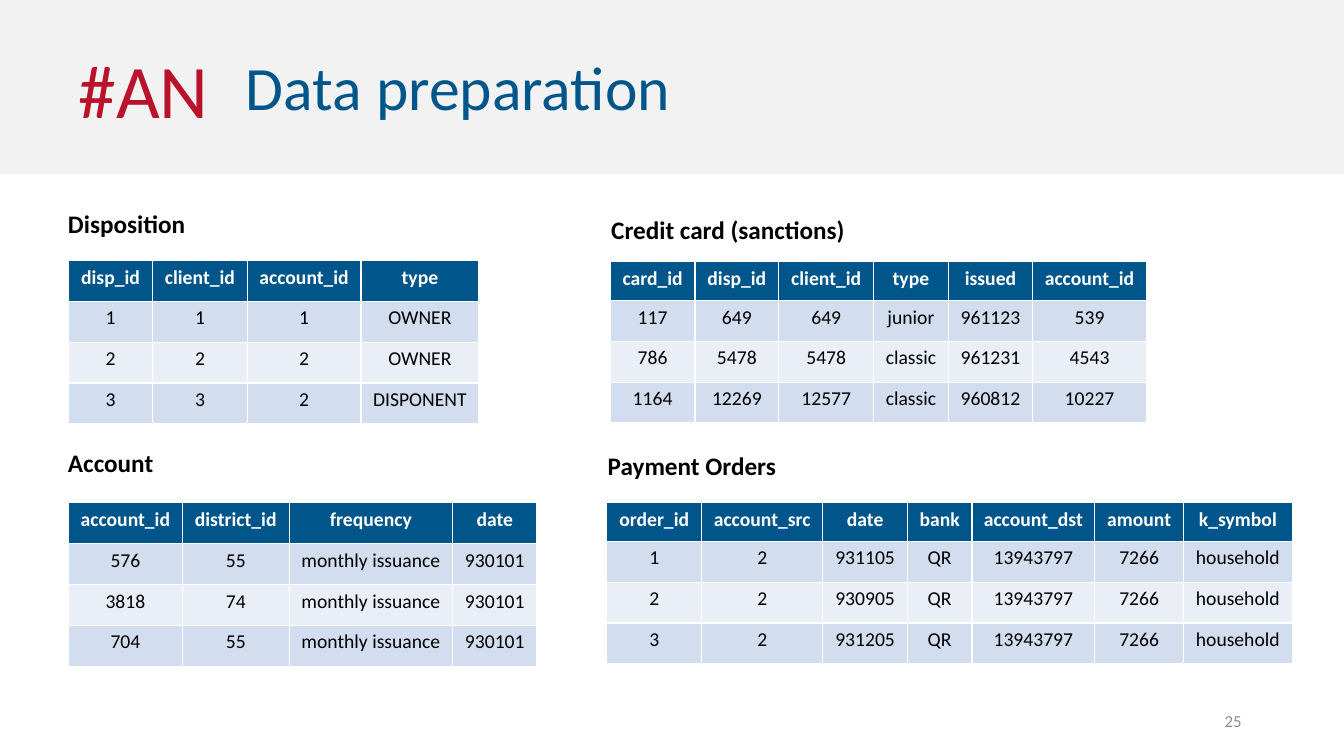
from dataclasses import dataclass

from pptx import Presentation
from pptx.dml.color import RGBColor
from pptx.enum.shapes import MSO_SHAPE
from pptx.enum.text import MSO_ANCHOR, MSO_AUTO_SIZE, PP_ALIGN
from pptx.util import Pt


@dataclass(frozen=True)
class Theme:
    """Colours, font and type sizes of the slide."""
    font: str = "Calibri"
    blue: str = "00568A"
    red: str = "B9122B"
    black: str = "000000"
    white: str = "FFFFFF"
    grey: str = "8C8C8C"
    band: str = "F2F2F2"
    odd_row: str = "D2DEEF"
    even_row: str = "EAEFF7"
    tag_size: int = 54
    title_size: int = 44
    heading_size: int = 18
    cell_size: int = 14
    number_size: int = 12


THEME = Theme()
ROW_HEIGHT = 29.2
LOW_HEADER = 27.6

DISPOSITION = [
    ("disp_id", "client_id", "account_id", "type"),
    ("1", "1", "1", "OWNER"),
    ("2", "2", "2", "OWNER"),
    ("3", "3", "2", "DISPONENT"),
]
ACCOUNT = [
    ("account_id", "district_id", "frequency", "date"),
    ("576", "55", "monthly issuance", "930101"),
    ("3818", "74", "monthly issuance", "930101"),
    ("704", "55", "monthly issuance", "930101"),
]
CREDIT_CARD = [
    ("card_id", "disp_id", "client_id", "type", "issued", "account_id"),
    ("117", "649", "649", "junior", "961123", "539"),
    ("786", "5478", "5478", "classic", "961231", "4543"),
    ("1164", "12269", "12577", "classic", "960812", "10227"),
]
PAYMENT_ORDERS = [
    ("order_id", "account_src", "date", "bank", "account_dst", "amount", "k_symbol"),
    ("1", "2", "931105", "QR", "13943797", "7266", "household"),
    ("2", "2", "930905", "QR", "13943797", "7266", "household"),
    ("3", "2", "931205", "QR", "13943797", "7266", "household"),
]


def write(tf, text, size, color, bold=False, align=PP_ALIGN.LEFT):
    """Fill a text frame with one formatted paragraph."""
    p = tf.paragraphs[0]
    p.text = text
    p.alignment = align
    p.font.name = THEME.font
    p.font.size = Pt(size)
    p.font.bold = bold
    p.font.color.rgb = RGBColor.from_string(color)


def add_text(s, box, text, size, color, **style):
    """Add a wrapping text box and return its text frame."""
    tf = s.shapes.add_textbox(*map(Pt, box)).text_frame
    tf.word_wrap = True
    write(tf, text, size, color, **style)
    return tf


def add_header(s):
    """Place the grey band, the red tag and the title."""
    title = s.shapes.title
    band = s.shapes.add_shape(MSO_SHAPE.RECTANGLE, 0, 0, Pt(960), Pt(124.5))
    band.shadow.inherit = False
    band.fill.solid()
    band.fill.fore_color.rgb = RGBColor.from_string(THEME.band)
    band.line.fill.background()
    title.element.addprevious(band.element)

    tag = add_text(s, (49, 27.4, 131.8, 72.7), "#AN", THEME.tag_size, THEME.red)
    tag.auto_size = MSO_AUTO_SIZE.SHAPE_TO_FIT_TEXT

    title.left, title.top, title.width, title.height = map(Pt, (168.5, 31.7, 321.1, 60.5))
    tf = title.text_frame
    tf.word_wrap = False
    tf.auto_size = MSO_AUTO_SIZE.SHAPE_TO_FIT_TEXT
    tf.vertical_anchor = MSO_ANCHOR.TOP
    write(tf, "Data preparation", THEME.title_size, THEME.blue)


def add_heading(s, left, top, width, text):
    """Add the bold heading above a table."""
    tf = add_text(s, (left, top, width, 29), text, THEME.heading_size, THEME.black, bold=True)
    tf.auto_size = MSO_AUTO_SIZE.SHAPE_TO_FIT_TEXT


def add_data_table(s, left, top, widths, rows, header_height=ROW_HEIGHT):
    """Add a table with a blue header and alternating rows."""
    heights = [header_height] + [ROW_HEIGHT] * (len(rows) - 1)
    table = s.shapes.add_table(len(rows), len(widths), Pt(left), Pt(top),
                               Pt(sum(widths)), Pt(sum(heights))).table
    for column, width in zip(table.columns, widths):
        column.width = Pt(width)
    for r, (values, height) in enumerate(zip(rows, heights)):
        table.rows[r].height = Pt(height)
        header = r == 0
        fill = THEME.blue if header else THEME.odd_row if r % 2 else THEME.even_row
        color = THEME.white if header else THEME.black
        for c, value in enumerate(values):
            cell = table.cell(r, c)
            cell.fill.solid()
            cell.fill.fore_color.rgb = RGBColor.from_string(fill)
            write(cell.text_frame, value, THEME.cell_size, color, header, PP_ALIGN.CENTER)


def main():
    """Build the slide and save it."""
    prs = Presentation()
    prs.slide_width, prs.slide_height = Pt(960), Pt(540)
    s = prs.slides.add_slide(prs.slide_layouts.get_by_name("Title Only"))
    add_header(s)

    add_heading(s, 41.5, 145.5, 164, "Disposition")
    add_data_table(s, 49, 186, (60, 67.7, 81.2, 84.2), DISPOSITION)

    add_heading(s, 41.5, 316, 164, "Account")
    add_data_table(s, 49, 359, (81.2, 76.5, 116.6, 60.4), ACCOUNT)

    add_heading(s, 429.5, 149.8, 189.4, "Credit card (sanctions)")
    add_data_table(s, 436, 187, (60.4, 60, 67.7, 53.3, 60.4, 81.2), CREDIT_CARD, LOW_HEADER)

    add_heading(s, 427, 318.2, 189.4, "Payment Orders")
    add_data_table(s, 433.5, 359, (67.7, 86.6, 60.4, 46.1, 87.8, 63.4, 77.6),
                   PAYMENT_ORDERS, LOW_HEADER)

    number = add_text(s, (678, 500.5, 216, 28.8), "25", THEME.number_size, THEME.grey,
                      align=PP_ALIGN.RIGHT)
    number.vertical_anchor = MSO_ANCHOR.MIDDLE
    prs.save("out.pptx")


if __name__ == "__main__":
    main()
